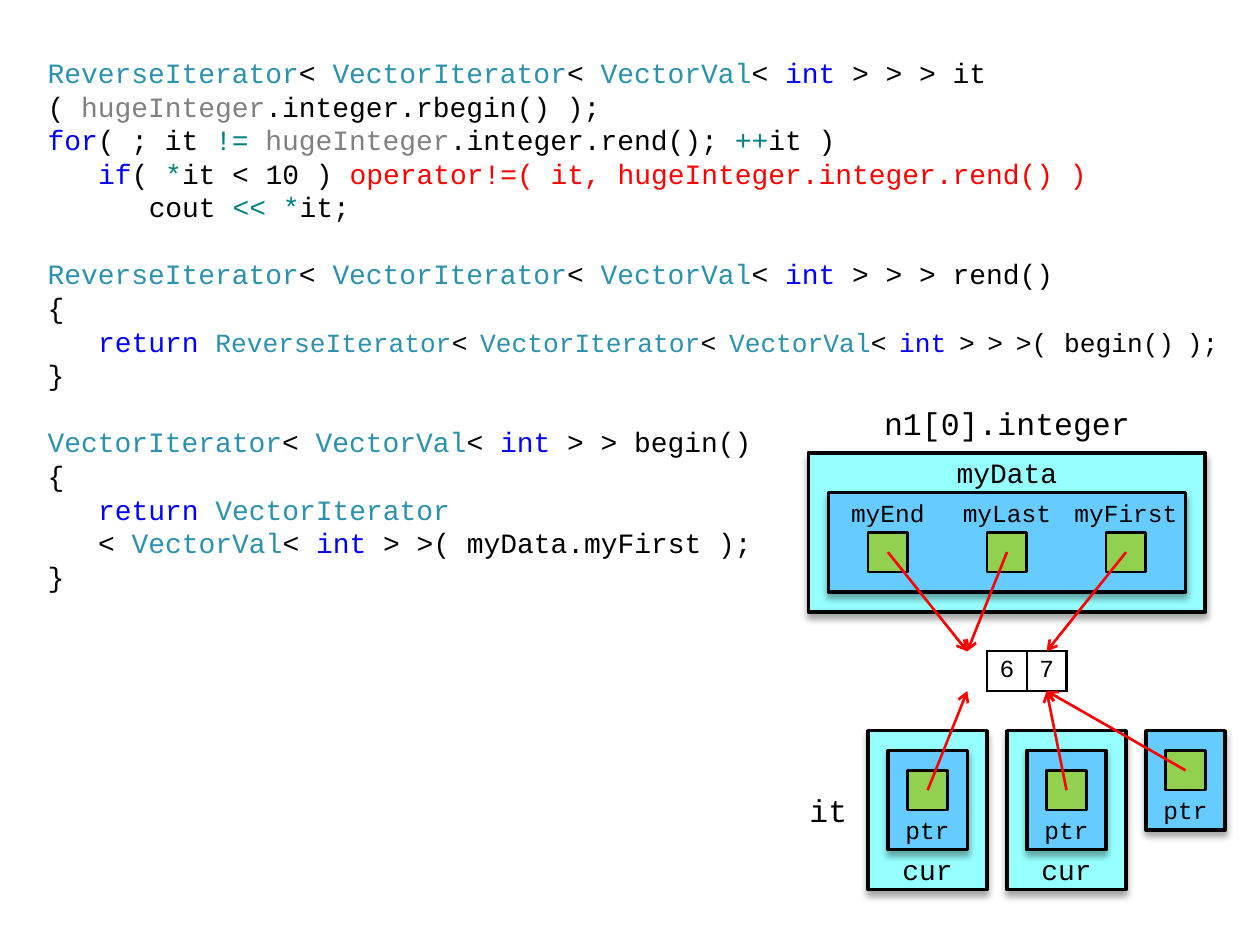
from lxml import etree
from pptx import Presentation
from pptx.dml.color import RGBColor
from pptx.enum.shapes import MSO_CONNECTOR as CONN, MSO_SHAPE as SHAPE
from pptx.enum.text import MSO_ANCHOR as ANCHOR, PP_ALIGN as ALIGN
from pptx.oxml.ns import qn
from pptx.util import Cm, Pt

BLACK, TEAL, BLUE, GREY = "000000", "2B91AF", "0000FF", "808080"
GREEN, RED = "008080", "FF0000"
CYAN, SKY, LIME, WHITE = "96FFFF", "66CCFF", "92D050", "FFFFFF"
U = 0.4  # grid unit in cm
CHAR = 0.34  # width of one 16 pt character in cm


def rgb(color):
    return RGBColor.from_string(color)


def add_run(p, text, size=16, color=BLACK, font="Courier New"):
    r = p.add_run()
    r.text = text
    r.font.size, r.font.name = Pt(size), font
    r.font.color.rgb = rgb(color)


def sub(parent, tag, **attrs):
    return etree.SubElement(parent, qn(tag), attrs)


class Slide:
    line_height = Pt(19.2)

    def __init__(self, prs):
        self.s = prs.slides.add_slide(prs.slide_layouts[6])

    def code(self, x, y, w, h, lines):
        """Each line is (indent in characters, gap above in lines, runs)."""
        tf = self.s.shapes.add_textbox(Cm(x), Cm(y), Cm(w), Cm(h)).text_frame
        tf.word_wrap, tf.margin_top = True, 0
        for i, (indent, gap, runs) in enumerate(lines):
            p = tf.paragraphs[0] if i == 0 else tf.add_paragraph()
            p.line_spacing = self.line_height
            p.space_before = gap * self.line_height
            p._p.get_or_add_pPr().set("marL", str(Cm(indent * CHAR)))
            for text, *style in runs:
                color, size = (style + [BLACK, 16][len(style):])
                add_run(p, text, size, color)

    def label(self, x, y, w, h, text, size=14, pad=0.1):
        tf = self.s.shapes.add_textbox(Cm(x), Cm(y), Cm(w), Cm(h)).text_frame
        tf.word_wrap, tf.vertical_anchor = True, ANCHOR.MIDDLE
        tf.margin_left = tf.margin_right = Cm(pad)
        tf.margin_top = tf.margin_bottom = 0
        p = tf.paragraphs[0]
        p.alignment = ALIGN.CENTER
        add_run(p, text, size)

    def box(self, x, y, w, h, fill, line=2, kind=SHAPE.FLOWCHART_PROCESS):
        sp = self.s.shapes.add_shape(kind, Cm(x), Cm(y), Cm(w), Cm(h))
        sp.shadow.inherit = False
        sp.fill.solid()
        sp.fill.fore_color.rgb = rgb(fill)
        sp.line.color.rgb, sp.line.width = rgb(BLACK), Pt(line)
        return sp

    def panel(self, x, y, w, h, fill, line=2):
        sp = self.box(x, y, w, h, fill, line)
        effects = sp._element.spPr.find(qn("a:effectLst"))
        shadow = sub(effects, "a:outerShdw", blurRad=str(Pt(4)), dist=str(Pt(3)),
                     dir="5400000", rotWithShape="0")
        sub(sub(shadow, "a:srgbClr", val=BLACK), "a:alpha", val="35000")

    def cell(self, x, y):
        self.box(x, y, 2 * U, 2 * U, LIME, 1.5, SHAPE.RECTANGLE)

    def pointer(self, x, y):
        self.panel(x, y, 4 * U, 5 * U, SKY)
        self.label(x, y + 3 * U, 4 * U, 2 * U, "ptr")
        self.cell(x + U, y + U)

    def iterator(self, x, y):
        self.panel(x, y, 6 * U, 8 * U, CYAN)
        self.label(x + U, y + 6 * U, 4 * U, 2 * U, "cur", 16)
        self.pointer(x + U, y + U)

    def arrow(self, x1, y1, x2, y2):
        c = self.s.shapes.add_connector(CONN.STRAIGHT, Cm(x1), Cm(y1), Cm(x2), Cm(y2))
        c.line.color.rgb, c.line.width = rgb(RED), Pt(1.5)
        sub(c.line._get_or_add_ln(), "a:tailEnd", type="arrow")
        sub(c._element.spPr, "a:effectLst")

    def table(self, x, y, values):
        side = Cm(2 * U)
        t = self.s.shapes.add_table(1, len(values), Cm(x), Cm(y),
                                    side * len(values), side).table
        t.rows[0].height = side
        for i, value in enumerate(values):
            t.columns[i].width = side
            c = t.cell(0, i)
            c.vertical_anchor = ANCHOR.MIDDLE
            c.margin_left = c.margin_right = Cm(0.15)
            c.margin_top = c.margin_bottom = Cm(0.1)
            p = c.text_frame.paragraphs[0]
            p.alignment = ALIGN.CENTER
            add_run(p, value, 14)
            tc_pr = c._tc.get_or_add_tcPr()
            for edge in "LRTB":
                ln = sub(tc_pr, f"a:ln{edge}", w=str(Pt(1.5)))
                sub(sub(ln, "a:solidFill"), "a:srgbClr", val=BLACK)
            c.fill.solid()
            c.fill.fore_color.rgb = rgb(WHITE)


# Code fragments that recur
VECTOR_VAL = [("VectorVal", TEAL), ("< ",), ("int", BLUE)]
VECTOR_ITER = [("VectorIterator", TEAL), ("< ",)] + VECTOR_VAL
REVERSE_ITER = [("ReverseIterator", TEAL), ("< ",)] + VECTOR_ITER
HUGE = ("hugeInteger", GREY)
OPEN, CLOSE = (0, 0, [("{",)]), (0, 0, [("}",)])


def tight(*parts):
    """Runs of 15 pt, parted by narrow 12 pt spaces."""
    runs = []
    for i, part in enumerate(parts):
        if i:
            runs.append((" ", BLACK, 12))
        runs += [(text, color, 15) for text, color in part]
    return runs


RETURN_REVERSE = [("return ", BLUE)] + tight(
    *[[(name, TEAL), ("<", BLACK)]
      for name in ("ReverseIterator", "VectorIterator", "VectorVal")],
    [("int", BLUE)], [(">", BLACK)], [(">", BLACK)], [(">(", BLACK)],
) + [(" ",)] + tight([("begin()", BLACK)], [(");", BLACK)])

CODE = [
    (0, 0, REVERSE_ITER + [(" > > > it ( ",), HUGE, (".integer.rbegin() );",)]),
    (0, 0, [("for", BLUE), ("( ; it ",), ("!= ", GREEN), HUGE,
            (".integer.rend(); ",), ("++", GREEN), ("it )",)]),
    (3, 0, [("if", BLUE), ("( ",), ("*", GREEN), ("it < 10 )",),
            (" operator!=( it, hugeInteger.integer.rend() )", RED)]),
    (6, 0, [("cout ",), ("<< *", GREEN), ("it;",)]),
    (0, 1, REVERSE_ITER + [(" > > > rend()",)]),
    OPEN,
    (3, 0, RETURN_REVERSE),
    CLOSE,
    (0, 1, VECTOR_ITER + [(" > > begin()",)]),
    OPEN,
    (3, 0, [("return ", BLUE), ("VectorIterator", TEAL)]),
    (3, 0, [("< ",)] + VECTOR_VAL + [(" > >( myData.myFirst );",)]),
    CLOSE,
]


def main():
    prs = Presentation()
    prs.slide_width, prs.slide_height = Cm(25.4), Cm(19.05)
    slide = Slide(prs)

    slide.code(0.71, 1.12, 24.41, 11.2, CODE)

    # Container with its three pointers
    left, top = 16.3, 9.13
    slide.label(17.5, top - 3 * U, 5.6, 3 * U, "n1[0].integer", 18)
    slide.panel(left, top, 20 * U, 8 * U, CYAN, 2.25)
    slide.label(left + 6 * U, top, 8 * U, 2 * U, "myData", 16)
    slide.panel(left + U, top + 2 * U, 18 * U, 5 * U, SKY)
    fields = [left + (1 + 6 * i) * U for i in range(3)]
    for x, name in zip(fields, ("myEnd", "myLast", "myFirst")):
        slide.label(x, top + 2 * U, 6 * U, 2 * U, name)
        slide.cell(x + 2 * U, top + 4 * U)

    # Stored digits
    digits_x, digits_y = 19.9, top + 10 * U
    digits_end = digits_y + 2 * U
    slide.table(digits_x, digits_y, "67")
    before, last = digits_x - U, digits_x + 3 * U

    # Iterators and the bare pointer
    base = 14.73
    slide.label(15.9, base + 2 * U, 4 * U, 4 * U, "it", 18)
    slide.iterator(17.5, base)
    slide.iterator(20.3, base)
    slide.pointer(23.1, base)

    # Arrows to the digits
    for x, target in zip(fields, (before, before, last)):
        slide.arrow(x + 3 * U, top + 5 * U, target, digits_y)
    for x, y, target in ((18.7, 3, before), (21.5, 3, last), (23.9, 2, last)):
        slide.arrow(x, base + y * U, target, digits_end)

    prs.save("out.pptx")


if __name__ == "__main__":
    main()
